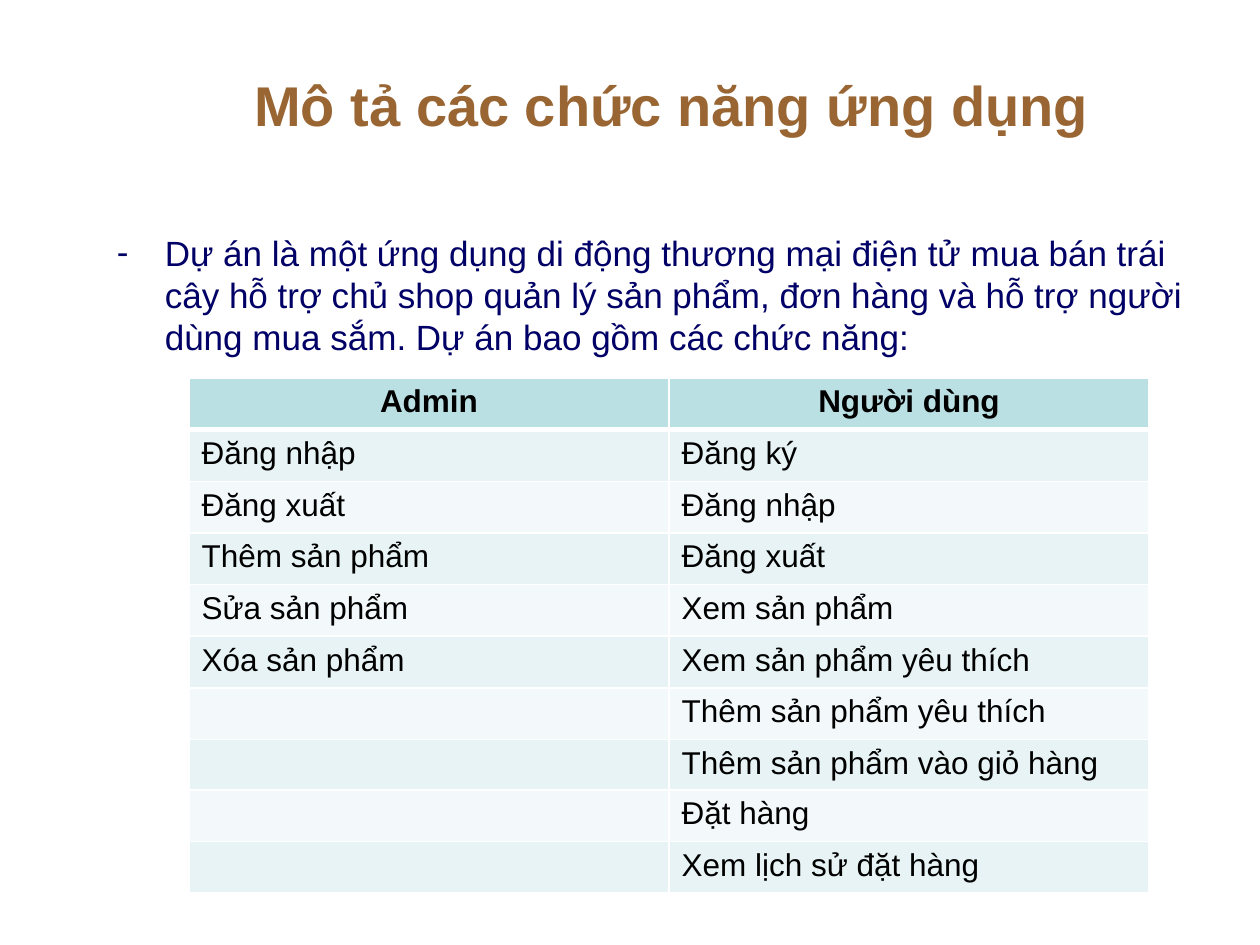
from itertools import zip_longest

from lxml.etree import SubElement as Sub
from pptx import Presentation
from pptx.dml.color import RGBColor as Rgb
from pptx.enum.text import MSO_ANCHOR as Anchor, PP_ALIGN as Align
from pptx.oxml.ns import qn
from pptx.util import Inches, Pt

HUES = {
    "title": "996633",
    "body": "000066",
    "text": "000000",
    "head": "BBE0E3",
    "odd": "E7F3F4",
    "even": "F3F9FA",
    "line": "FFFFFF",
}
ADMIN = ["Admin", "Đăng nhập", "Đăng xuất", "Thêm sản phẩm", "Sửa sản phẩm", "Xóa sản phẩm"]
USER = [
    "Người dùng", "Đăng ký", "Đăng nhập", "Đăng xuất", "Xem sản phẩm",
    "Xem sản phẩm yêu thích", "Thêm sản phẩm yêu thích",
    "Thêm sản phẩm vào giỏ hàng", "Đặt hàng", "Xem lịch sử đặt hàng",
]
INTRO = (
    "Dự án là một ứng dụng di động thương mại điện tử mua bán trái cây "
    "hỗ trợ chủ shop quản lý sản phẩm, đơn hàng và hỗ trợ người dùng mua sắm. "
    "Dự án bao gồm các chức năng:"
)


class Deck:
    font = "Arial"
    wide, high = 10, 7.5

    def __init__(self):
        self.file = Presentation()
        self.file.slide_width = Inches(self.wide)
        self.file.slide_height = Inches(self.high)
        self.slide = self.file.slides.add_slide(self.file.slide_layouts[6])

    def place(self, x, y, w, h):
        sides = (self.wide, self.high) * 2
        return [Inches(part * side / 100) for part, side in zip((x, y, w, h), sides)]

    def run(self, para, words, size, hue, bold=False):
        run = para.add_run()
        run.text = words
        font = run.font
        font.name, font.size, font.bold = self.font, Pt(size), bold
        font.color.rgb = Rgb.from_string(HUES[hue])

    def text(self, area, words, size, hue, bold=False, anchor=Anchor.TOP):
        frame = self.slide.shapes.add_textbox(*self.place(*area)).text_frame
        frame.word_wrap = True
        frame.vertical_anchor = anchor
        para = frame.paragraphs[0]
        self.run(para, words, size, hue, bold)
        return para

    def bullet(self, area, words, size, hue, mark, indent):
        para = self.text(area, words, size, hue)
        para.space_before = Pt(size / 5)
        props = para._p.get_or_add_pPr()
        props.set("marL", str(Inches(indent)))
        props.set("indent", str(Inches(-indent)))
        Sub(props, qn("a:buFont"), typeface=self.font)
        Sub(props, qn("a:buChar"), char=mark)

    def edge(self, cell, side, width):
        props = cell._tc.get_or_add_tcPr()
        line = Sub(props, qn(f"a:ln{side}"), w=str(Pt(width)))
        fill = Sub(line, qn("a:solidFill"))
        Sub(fill, qn("a:srgbClr"), val=HUES["line"])

    def cell(self, cell, words, row, size):
        head = row == 0
        thick = {0: "B", 1: "T"}.get(row)
        for side in "LRTB":
            self.edge(cell, side, 3 if side == thick else 1)
        cell.fill.solid()
        hue = "head" if head else "odd" if row % 2 else "even"
        cell.fill.fore_color.rgb = Rgb.from_string(HUES[hue])
        para = cell.text_frame.paragraphs[0]
        para.alignment = Align.CENTER if head else Align.LEFT
        if words:
            self.run(para, words, size, "text", head)
        else:
            para.font.size = Pt(size)

    def table(self, area, lists, size, short):
        rows = list(zip_longest(*lists, fillvalue=""))
        grid = self.slide.shapes.add_table(len(rows), len(lists), *self.place(*area)).table
        for row, words in enumerate(rows):
            grid.rows[row].height = Inches(0.39 if row == short else 0.41)
            for col, word in enumerate(words):
                self.cell(grid.cell(row, col), word, row, size)

    def save(self):
        self.file.save("out.pptx")


def main():
    deck = Deck()
    deck.text((19.2, 4.13, 77.5, 13.73), "Mô tả các chức năng ứng dụng",
              32, "title", True, Anchor.MIDDLE)
    deck.bullet((8.3, 23.87, 88.3, 69.47), INTRO, 20, "body", "-", 0.38)
    deck.table((15, 40, 76.2, 54), (ADMIN, USER), 18, 7)
    deck.save()


if __name__ == "__main__":
    main()
